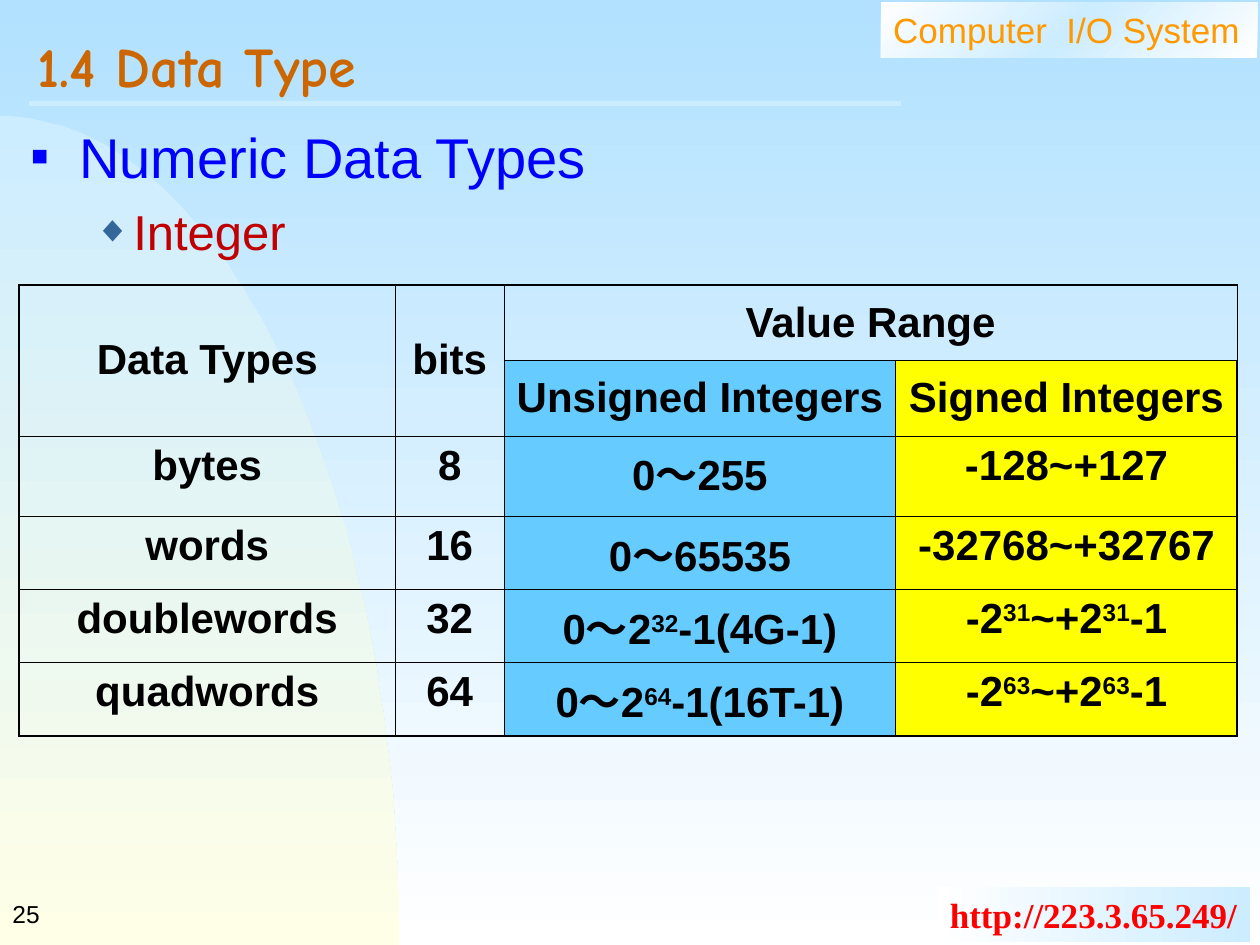
from copy import deepcopy
from math import cos, pi, sin

from lxml.etree import SubElement
from pptx import Presentation
from pptx.dml.color import RGBColor
from pptx.enum.shapes import MSO_CONNECTOR, MSO_SHAPE
from pptx.enum.text import MSO_ANCHOR as ANCHOR, PP_ALIGN as ALIGN
from pptx.oxml import parse_xml
from pptx.oxml.ns import nsdecls, qn
from pptx.util import Inches, Pt

WHITE = RGBColor(0xFF, 0xFF, 0xFF)
BLACK = RGBColor(0x00, 0x00, 0x00)
SKY = RGBColor(0xB1, 0xE1, 0xFF)
PALE = RGBColor(0xCC, 0xEC, 0xFF)
CREAM = RGBColor(0xFF, 0xFF, 0xE7)
ORANGE = RGBColor(0xFF, 0x99, 0x00)
BROWN = RGBColor(0xCC, 0x66, 0x00)
RED = RGBColor(0xFF, 0x00, 0x00)
CRIMSON = RGBColor(0xC0, 0x00, 0x00)
BLUE = RGBColor(0x00, 0x00, 0xFF)
STEEL = RGBColor(0x33, 0x66, 0x99)
CYAN = RGBColor(0x66, 0xCC, 0xFF)
YELLOW = RGBColor(0xFF, 0xFF, 0x00)

COLS, ROWS = 100, 75
COL_WIDTHS = [29.9, 8.6, 31.1, 27.1]
ROW_HEIGHTS = [6, 6, 6.4, 5.8, 5.8, 5.8]
COL_FILLS = [None, None, CYAN, YELLOW]
CELLS = [
    ["Data Types", "bits", "Value Range", ""],
    ["", "", "Unsigned Integers", "Signed Integers"],
    ["bytes", "8", "0～255", "-128~+127"],
    ["words", "16", "0～65535", "-32768~+32767"],
    ["doublewords", "32", "0～2^32^-1(4G-1)", "-2^31^~+2^31^-1"],
    ["quadwords", "64", "0～2^64^-1(16T-1)", "-2^63^~+2^63^-1"],
]
BULLETS = [
    ("Numeric Data Types", dict(size=32, color=BLUE), ("■", BLUE, 50), 0.38, 0.38, 0),
    ("Integer", dict(size=28, color=CRIMSON), ("◆", STEEL, 75), 0.81, 0.31, 7),
]


def grid(*cells):
    """Turn grid counts, a tenth of an inch each, into lengths."""
    return [Inches(round(n / 10, 2)) for n in cells]


def set_all(obj, **values):
    """Set each named attribute on an object."""
    for name, value in values.items():
        setattr(obj, name, value)


def gradient(fill, root, colors, angle):
    """Fill with evenly spaced colours, the angle counted clockwise."""
    fill.gradient()
    fill.gradient_angle = -angle % 360
    stops = next(root.iter(qn("a:gsLst")))
    for _ in colors[2:]:
        stops.insert(1, deepcopy(stops[0]))
    for i, (stop, color) in enumerate(zip(fill.gradient_stops, colors)):
        stop.position = i / (len(colors) - 1)
        stop.color.rgb = color


def write(p, text, size, color, name="Arial", bold=False):
    """Add runs to a paragraph, raising the parts between carets."""
    for i, part in enumerate(text.split("^")):
        r = p.add_run()
        r.text = part
        set_all(r.font, size=Pt(size), name=name, bold=bold)
        r.font.color.rgb = color
        if i % 2:
            r._r.get_or_add_rPr().set("baseline", "30000")


def add_text(slide, box, text, wrap=True, spacing=None, **font):
    """Add a vertically centred line of text."""
    tf = slide.shapes.add_textbox(*grid(*box)).text_frame
    set_all(tf, word_wrap=wrap, vertical_anchor=ANCHOR.MIDDLE)
    p = tf.paragraphs[0]
    p.line_spacing = spacing
    write(p, text, **font)


def add_panel(slide, box, text, colors, angle, wrap=True, **font):
    """Add a gradient label without an outline."""
    sp = slide.shapes.add_shape(MSO_SHAPE.RECTANGLE, *grid(*box))
    sp.shadow.inherit = False
    sp.line.fill.background()
    gradient(sp.fill, sp._element, colors, angle)
    tf = sp.text_frame
    set_all(tf, word_wrap=wrap, vertical_anchor=ANCHOR.TOP)
    p = tf.paragraphs[0]
    p.alignment = ALIGN.LEFT
    write(p, text, **font)


def add_dome(slide, width, height, steps=60):
    """Add a quarter ellipse in the lower left corner."""
    angles = [pi / 2 * i / steps for i in range(steps + 1)]
    points = [grid(width * sin(a), ROWS - height * cos(a)) for a in angles]
    builder = slide.shapes.build_freeform(*points[0])
    builder.add_line_segments(points[1:] + [grid(0, ROWS)], close=True)
    sp = builder.convert_to_shape()
    sp.shadow.inherit = False
    sp.line.fill.background()
    gradient(sp.fill, sp._element, [PALE, CREAM], 90)


def add_rule(slide, x1, x2, y):
    """Add the line below the title."""
    ln = slide.shapes.add_connector(MSO_CONNECTOR.STRAIGHT, *grid(x1, y, x2, y))
    ln.line.color.rgb = PALE
    ln.line.width = Pt(3)
    SubElement(ln._element.spPr, qn("a:effectLst"))


def add_bullets(slide, box):
    """Add the list of headings with coloured bullets."""
    tf = slide.shapes.add_textbox(*grid(*box)).text_frame
    tf.word_wrap = True
    for i, (text, font, bullet, margin, hang, before) in enumerate(BULLETS):
        p = tf.add_paragraph() if i else tf.paragraphs[0]
        char, color, percent = bullet
        pPr = p._p.get_or_add_pPr()
        pPr.set("marL", str(Inches(margin)))
        pPr.set("indent", str(-Inches(hang)))
        SubElement(SubElement(pPr, qn("a:buClr")), qn("a:srgbClr"), val=str(color))
        SubElement(pPr, qn("a:buSzPct"), val=str(percent * 1000))
        SubElement(pPr, qn("a:buFont"), typeface="Arial")
        SubElement(pPr, qn("a:buChar"), char=char)
        set_all(p, level=i, space_before=Pt(before))
        write(p, text, **font)


def add_borders(cell, outer):
    """Draw the four cell borders, heavier on the outer sides."""
    tcPr = cell._tc.get_or_add_tcPr()
    for i, (side, is_outer) in enumerate(outer.items()):
        width = Pt(1.08 if is_outer else 0.45)
        tcPr.insert(i, parse_xml(
            f'<a:ln{side} {nsdecls("a")} w="{width}"><a:solidFill>'
            f'<a:srgbClr val="{BLACK}"/></a:solidFill></a:ln{side}>'))


def add_data_table(slide, left, top):
    """Add the table of integer types and their ranges."""
    n_rows, n_cols = len(ROW_HEIGHTS), len(COL_WIDTHS)
    box = grid(left, top, sum(COL_WIDTHS), sum(ROW_HEIGHTS))
    table = slide.shapes.add_table(n_rows, n_cols, *box).table
    set_all(table, first_row=False, horz_banding=False)
    for col, width in zip(table.columns, grid(*COL_WIDTHS)):
        col.width = width
    for row, height in zip(table.rows, grid(*ROW_HEIGHTS)):
        row.height = height
    for r, texts in enumerate(CELLS):
        for c, text in enumerate(texts):
            cell = table.cell(r, c)
            cell.vertical_anchor = ANCHOR.MIDDLE if r < 2 else ANCHOR.TOP
            if r and COL_FILLS[c]:
                cell.fill.solid()
                cell.fill.fore_color.rgb = COL_FILLS[c]
            else:
                cell.fill.background()
            add_borders(cell, dict(L=c == 0, R=c == n_cols - 1, T=r == 0, B=r == n_rows - 1))
            if text:
                p = cell.text_frame.paragraphs[0]
                p.alignment = ALIGN.CENTER
                write(p, text, 24, BLACK, bold=True)
    for first, last in [((0, 0), (1, 0)), ((0, 1), (1, 1)), ((0, 2), (0, 3))]:
        table.cell(*first).merge(table.cell(*last))


def main():
    """Build the slide and save it."""
    prs = Presentation()
    prs.slide_width, prs.slide_height = grid(COLS, ROWS)
    s = prs.slides.add_slide(prs.slide_layouts[6])
    gradient(s.background.fill, s._element, [SKY, WHITE], 90)
    add_dome(s, 31.7, 65.8)
    add_panel(s, (69.9, 0.2, 29.9, 4.4), "Computer  I/O System",
              [WHITE, PALE, WHITE], 45, size=20, color=ORANGE)
    add_panel(s, (74.4, 70.4, 24.8, 4.4), "http://223.3.65.249/", [WHITE, PALE], 0,
              wrap=False, size=20, color=RED, name="Times New Roman", bold=True)
    add_rule(s, 2.3, 71.5, 8.2)
    add_text(s, (2, 2, 95.5, 7.7), "1.4 Data Type", spacing=0.7,
             size=32, color=BROWN, name="Comic Neue", bold=True)
    add_bullets(s, (1.5, 9.2, 96, 60))
    add_text(s, (0, 70, 20.8, 5), "25", wrap=False, size=14, color=BLACK)
    add_data_table(s, 1.5, 22.6)
    prs.save("out.pptx")


if __name__ == "__main__":
    main()
